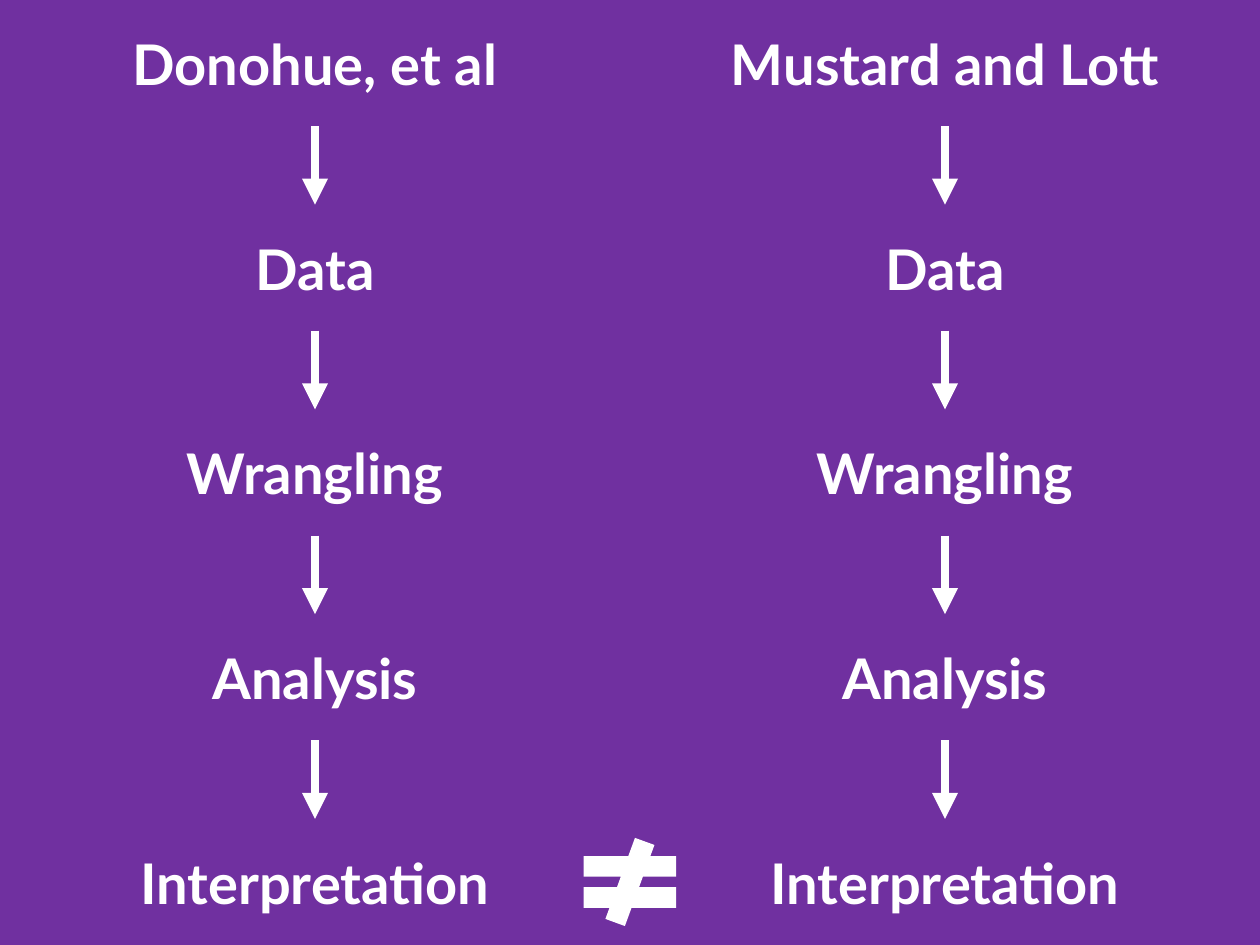
import pptx
import pptx.dml.color
import pptx.enum.shapes
import pptx.enum.text
import pptx.oxml
import pptx.oxml.ns
import pptx.util
import lxml.etree

Inches = pptx.util.Inches


def colour(value):
    return pptx.dml.color.RGBColor.from_string(value)


class Flow:
    """Draws flow steps, arrows and signs on one slide in a shared style."""

    font_name = "Lato"
    font_size = 32
    ink = "FFFFFF"
    ground = "7030A0"
    arrow_width = 5

    def __init__(self, slide):
        self.slide = slide
        slide.background.fill.solid()
        slide.background.fill.fore_color.rgb = colour(self.ground)

    def step(self, wording, left, top, width, height):
        box = self.slide.shapes.add_textbox(
            Inches(left), Inches(top), Inches(width), Inches(height))
        frame = box.text_frame
        frame.word_wrap = True
        frame.vertical_anchor = pptx.enum.text.MSO_ANCHOR.MIDDLE
        frame.text = wording
        paragraph = frame.paragraphs[0]
        paragraph.alignment = pptx.enum.text.PP_ALIGN.CENTER
        paragraph.font.name = self.font_name
        paragraph.font.size = pptx.util.Pt(self.font_size)
        paragraph.font.bold = True
        paragraph.font.color.rgb = colour(self.ink)

    def arrow(self, x, start, end):
        link = self.slide.shapes.add_connector(
            pptx.enum.shapes.MSO_CONNECTOR.STRAIGHT,
            Inches(x), Inches(start), Inches(x), Inches(end))
        link.line.color.rgb = colour(self.ink)
        link.line.width = pptx.util.Pt(self.arrow_width)
        qn = pptx.oxml.ns.qn
        outline = link.line._get_or_add_ln()
        lxml.etree.SubElement(outline, qn("a:tailEnd"), type="triangle")
        lxml.etree.SubElement(link._element.spPr, qn("a:effectLst"))

    def sign(self, kind, left, top, width, height):
        symbol = self.slide.shapes.add_shape(
            kind, Inches(left), Inches(top), Inches(width), Inches(height))
        symbol.shadow.inherit = False
        symbol.fill.solid()
        symbol.fill.fore_color.rgb = colour(self.ink)
        symbol.line.fill.background()


deck = pptx.Presentation()
deck.slide_width = Inches(10)
deck.slide_height = Inches(7.5)
flow = Flow(deck.slides.add_slide(deck.slide_layouts[6]))

authors = ["Donohue, et al", "Mustard and Lott"]
stages = ["Data", "Wrangling", "Analysis", "Interpretation"]
column_width = 5
step_height = 1
pitch = (7.5 - step_height) / len(stages)

for column, author in enumerate(authors):
    left = column * column_width
    for row, wording in enumerate([author] + stages):
        top = row * pitch
        flow.step(wording, left, top, column_width, step_height)
        if row > 0:
            flow.arrow(left + column_width / 2, top - pitch + step_height, top)

flow.sign(pptx.enum.shapes.MSO_SHAPE.MATH_NOT_EQUAL, 4.5, 6.65, 1, 0.7)

deck.save("out.pptx")
